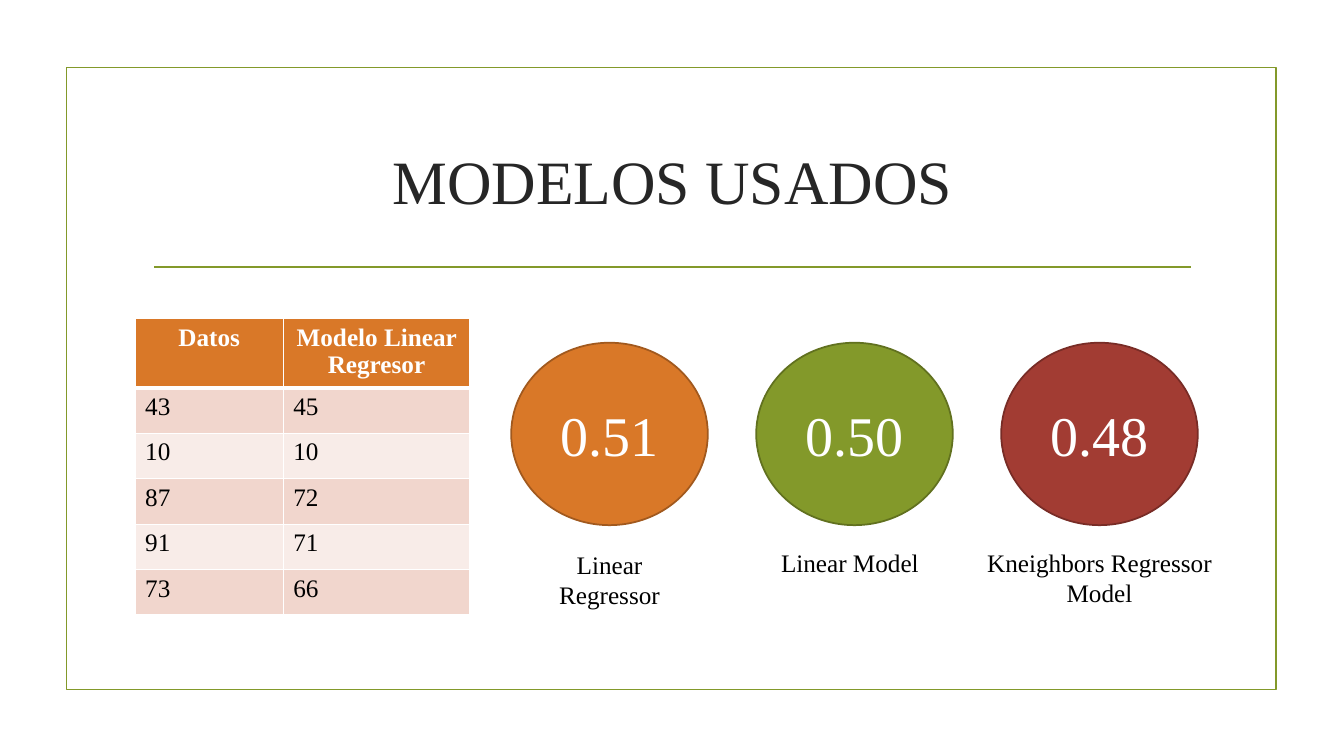
from lxml.etree import SubElement
from pptx import Presentation
from pptx.dml.color import RGBColor
from pptx.enum.shapes import MSO_CONNECTOR as Connector, MSO_SHAPE as Shape
from pptx.enum.text import MSO_ANCHOR as Anchor, PP_ALIGN as Align
from pptx.oxml.ns import qn
from pptx.util import Inches, Pt

COLORS = {
    "white": "FFFFFF", "black": "000000", "title": "262626",
    "orange": "D97828", "orange_edge": "A1591E",
    "green": "83992A", "green_edge": "61711F",
    "red": "A23C33", "red_edge": "782C26",
    "band_dark": "F1D6CD", "band_light": "F8ECE8",
}


def rgb(name):
    return RGBColor.from_string(COLORS[name])


class SlideBuilder:
    font = "Times New Roman"
    line_width = 1.25

    def __init__(self, deck):
        self.slide = deck.slides.add_slide(deck.slide_layouts[5])
        self.shapes = self.slide.shapes

    def add_text(self, frame, text, size, color, align=Align.CENTER, bold=False):
        para = frame.paragraphs[0]
        para.alignment = align
        span = para.add_run()
        span.text = text
        span.font.name = self.font
        span.font.size = Pt(size)
        span.font.bold = bold
        span.font.color.rgb = rgb(color)

    def title(self, text, *place):
        box = self.shapes.title
        box.left, box.top, box.width, box.height = map(Inches, place)
        box.text_frame.vertical_anchor = Anchor.MIDDLE
        self.add_text(box.text_frame, text, 44, "title")

    def shape(self, kind, place, edge, fill=None):
        box = self.shapes.add_shape(kind, *map(Inches, place))
        box.shadow.inherit = False
        if fill:
            box.fill.solid()
            box.fill.fore_color.rgb = rgb(fill)
        else:
            box.fill.background()
        box.line.color.rgb = rgb(edge)
        box.line.width = Pt(self.line_width)
        return box

    def circle(self, text, place, color):
        box = self.shape(Shape.OVAL, place, color + "_edge", color)
        box.text_frame.vertical_anchor = Anchor.MIDDLE
        self.add_text(box.text_frame, text, 40, "white")

    def rule(self, left, right, y, color):
        line = self.shapes.add_connector(
            Connector.STRAIGHT, Inches(left), Inches(y), Inches(right), Inches(y))
        line.line.color.rgb = rgb(color)
        line.line.width = Pt(self.line_width)
        SubElement(line._element.spPr, qn("a:effectLst"))

    def label(self, text, *place):
        box = self.shapes.add_textbox(*map(Inches, place))
        box.text_frame.word_wrap = True
        self.add_text(box.text_frame, text, 18, "black")

    def cell_borders(self, cell, bottom):
        properties = cell._tc.get_or_add_tcPr()
        for side, width in (("L", 1), ("R", 1), ("T", 1), ("B", bottom)):
            line = SubElement(properties, qn("a:ln" + side), w=str(Pt(width)))
            fill = SubElement(line, qn("a:solidFill"))
            SubElement(fill, qn("a:srgbClr"), val=COLORS["white"])

    def table(self, rows, left, top, widths, heights):
        place = map(Inches, (left, top, sum(widths), sum(heights)))
        table = self.shapes.add_table(len(rows), len(widths), *place).table
        for column, width in zip(table.columns, widths):
            column.width = Inches(width)
        for r, values in enumerate(rows):
            table.rows[r].height = Inches(heights[r])
            header = r == 0
            band = "orange" if header else "band_dark" if r % 2 else "band_light"
            for c, value in enumerate(values):
                cell = table.cell(r, c)
                # Borders come before the fill in the cell properties
                self.cell_borders(cell, 3 if header else 1)
                cell.fill.solid()
                cell.fill.fore_color.rgb = rgb(band)
                self.add_text(cell.text_frame, value, 18,
                              "white" if header else "black",
                              Align.CENTER if header else Align.LEFT, header)


def main():
    deck = Presentation()
    deck.slide_width, deck.slide_height = Inches(13.33), Inches(7.5)
    page = SlideBuilder(deck)

    # Frame, title and rule
    page.shape(Shape.RECTANGLE, (0.66, 0.67, 12, 6.17), "green")
    page.rule(1.53, 11.81, 2.65, "green")
    page.title("MODELOS USADOS", 1.42, 1.07, 10.5, 1.43)

    # Data and predictions
    rows = [("Datos", "Modelo Linear Regresor"), ("43", "45"), ("10", "10"),
            ("87", "72"), ("91", "71"), ("73", "66")]
    page.table(rows, 1.34, 3.16, (1.47, 1.85), [0.69] + [0.45] * 5)

    # Model scores
    scores = [("0.51", "orange"), ("0.50", "green"), ("0.48", "red")]
    for i, (score, color) in enumerate(scores):
        page.circle(score, (5.07 + 2.43 * i, 3.4, 1.95, 1.81), color)

    # Model names
    page.label("Linear Regressor", 5.1, 5.4, 1.89, 0.71)
    page.label("Linear Model", 7.62, 5.38, 1.62, 0.4)
    page.label("Kneighbors Regressor Model", 9.68, 5.38, 2.45, 0.71)

    deck.save("out.pptx")


if __name__ == "__main__":
    main()
